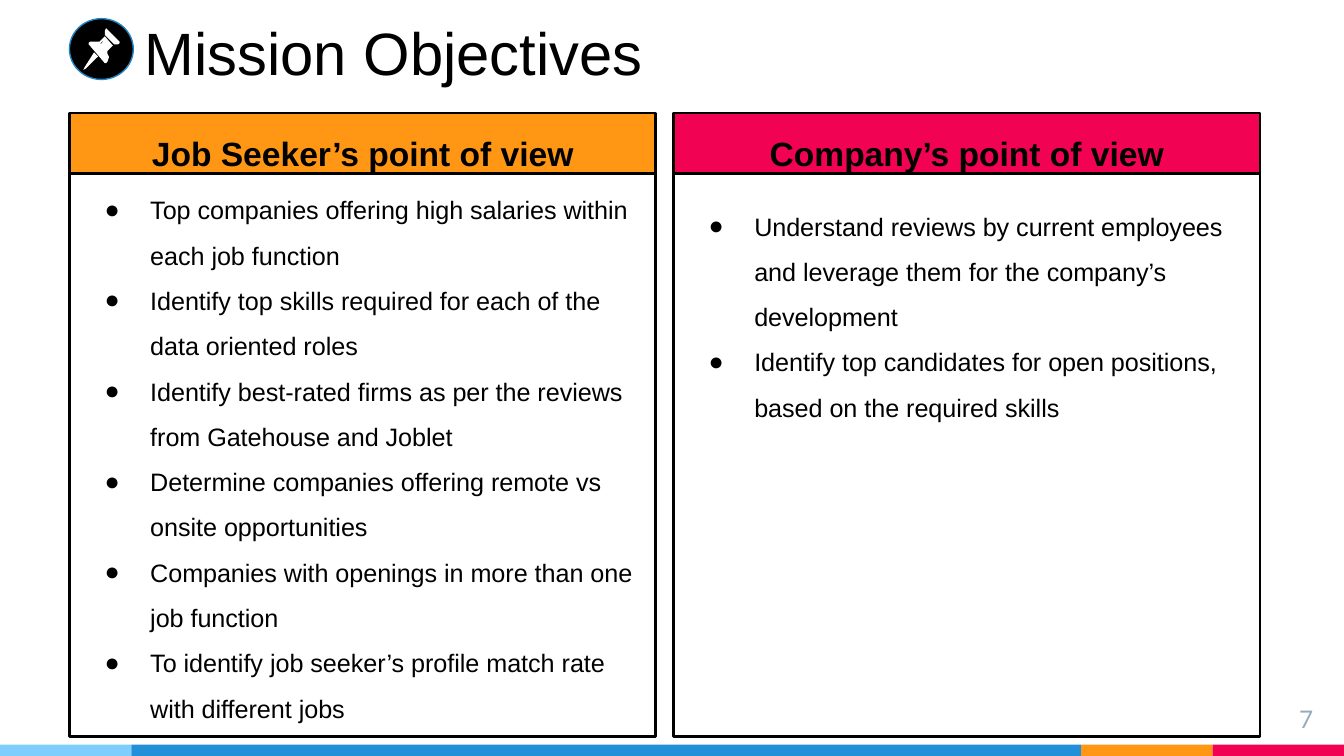
from lxml.etree import SubElement
from pptx import Presentation
from pptx.dml.color import RGBColor
from pptx.enum.shapes import MSO_SHAPE
from pptx.enum.text import MSO_ANCHOR, PP_ALIGN
from pptx.oxml.ns import qn
from pptx.util import Pt

COLORS = {
    "black": "000000", "white": "FFFFFF", "orange": "FF9715", "pink": "F20253",
    "sky": "7ECEFD", "blue": "2190D8", "badge line": "2185C5", "grey": "97ABBC",
}


def style(shape, fill, line=None, line_width=1.5):
    shape.shadow.inherit = False
    shape.fill.solid()
    shape.fill.fore_color.rgb = RGBColor.from_string(COLORS[fill])
    if line:
        shape.line.color.rgb = RGBColor.from_string(COLORS[line])
        shape.line.width = Pt(line_width)
    else:
        shape.line.fill.background()


def write(shape, lines, size, anchor, align=PP_ALIGN.LEFT, color="black",
          font="Arial", bold=False, spacing=1.0, bullets=False, top=7.2):
    """Fill a shape with one paragraph per line, with 7.2 pt insets."""
    frame = shape.text_frame
    frame.word_wrap = True
    frame.vertical_anchor = anchor
    frame.margin_left = frame.margin_right = frame.margin_bottom = Pt(7.2)
    frame.margin_top = Pt(top)
    frame.text = "\n".join(lines)
    for paragraph in frame.paragraphs:
        paragraph.alignment = align
        paragraph.line_spacing = spacing
        if bullets:
            properties = paragraph._p.get_or_add_pPr()
            properties.set("marL", str(Pt(36)))
            properties.set("indent", str(-Pt(24.5)))
            bullet_color = SubElement(properties, qn("a:buClr"))
            SubElement(bullet_color, qn("a:srgbClr"), val=COLORS[color])
            SubElement(properties, qn("a:buFont"), typeface=font)
            SubElement(properties, qn("a:buChar"), char="●")
        for run in paragraph.runs:
            run.font.name = font
            run.font.size = Pt(size)
            run.font.bold = bold
            run.font.color.rgb = RGBColor.from_string(COLORS[color])


presentation = Presentation()
presentation.slide_width = Pt(720)
presentation.slide_height = Pt(405)
slide = presentation.slides.add_slide(presentation.slide_layouts[6])
shapes = slide.shapes

# Footer stripe
left = 0
for color, width in [("sky", 70.4), ("blue", 508.8), ("orange", 70.4), ("pink", 70.4)]:
    stripe = shapes.add_shape(MSO_SHAPE.RECTANGLE, Pt(left), Pt(399), Pt(width), Pt(6))
    style(stripe, color)
    left += width

page_number = shapes.add_textbox(Pt(667.4), Pt(370), Pt(43.2), Pt(24.5))
write(page_number, ["7"], 13, MSO_ANCHOR.TOP, PP_ALIGN.RIGHT, "grey", "Lato")

# Two panels: left edge, body top, anchor, top inset, header colour, header, bullets
panels = [
    (37.4, 85, MSO_ANCHOR.BOTTOM, 7.2, "orange", "Job Seeker’s point of view", [
        "Top companies offering high salaries within each job function",
        "Identify top skills required for each of the data oriented roles",
        "Identify best-rated firms as per the reviews from Gatehouse and Joblet",
        "Determine companies offering remote vs onsite opportunities",
        "Companies with openings in more than one job function",
        "To identify job seeker’s profile match rate with different jobs",
    ]),
    (361, 73.4, MSO_ANCHOR.TOP, 31.5, "pink", "Company’s point of view", [
        "Understand reviews by current employees and leverage them for the company’s development",
        "Identify top candidates for open positions, based on the required skills",
    ]),
]
panel_width, panel_bottom = 314, 394.6
for left, top, anchor, inset, color, heading, objectives in panels:
    body = shapes.add_shape(MSO_SHAPE.RECTANGLE, Pt(left), Pt(top),
                            Pt(panel_width), Pt(panel_bottom - top))
    style(body, "white", "black")
    write(body, objectives, 13.5, anchor, spacing=1.5, bullets=True, top=inset)
    header = shapes.add_shape(MSO_SHAPE.RECTANGLE, Pt(left), Pt(60.5),
                              Pt(panel_width), Pt(32.4))
    style(header, color, "black")
    write(header, [heading], 18, MSO_ANCHOR.MIDDLE, PP_ALIGN.CENTER, bold=True, spacing=1.5)

# Pushpin badge; pin outlines are on a grid of 0.72 pt
badge = shapes.add_shape(MSO_SHAPE.OVAL, Pt(37.2), Pt(10), Pt(34.2), Pt(32.6))
style(badge, "black", "badge line", 0.75)
needle = [(70, 39), (63, 50), (62, 52), (64, 51), (73, 42)]
cap = [(79, 21), (78, 23), (78, 26), (85, 33), (87, 33), (88, 33), (89, 32),
       (89, 31), (80, 22)]
grip = [(78, 27), (74, 31), (72, 31), (69, 31), (67, 31), (66, 32), (66, 33),
        (78, 47), (79, 47), (80, 46), (81, 43), (81, 42), (80, 40), (80, 38), (84, 34)]
slot = [(78, 29), (75, 32), (75, 33), (78, 29)]
for outlines in [[needle], [cap], [grip, slot]]:
    builder = shapes.build_freeform(*outlines[0][0], scale=Pt(0.72))
    builder.add_line_segments(outlines[0][1:])
    for hole in outlines[1:]:
        builder.move_to(*hole[0])
        builder.add_line_segments(hole[1:])
    style(builder.convert_to_shape(), "white")

title = shapes.add_textbox(Pt(70.4), Pt(-13.7), Pt(508.8), Pt(67.7))
write(title, ["Mission Objectives"], 32, MSO_ANCHOR.BOTTOM)

presentation.save("out.pptx")
